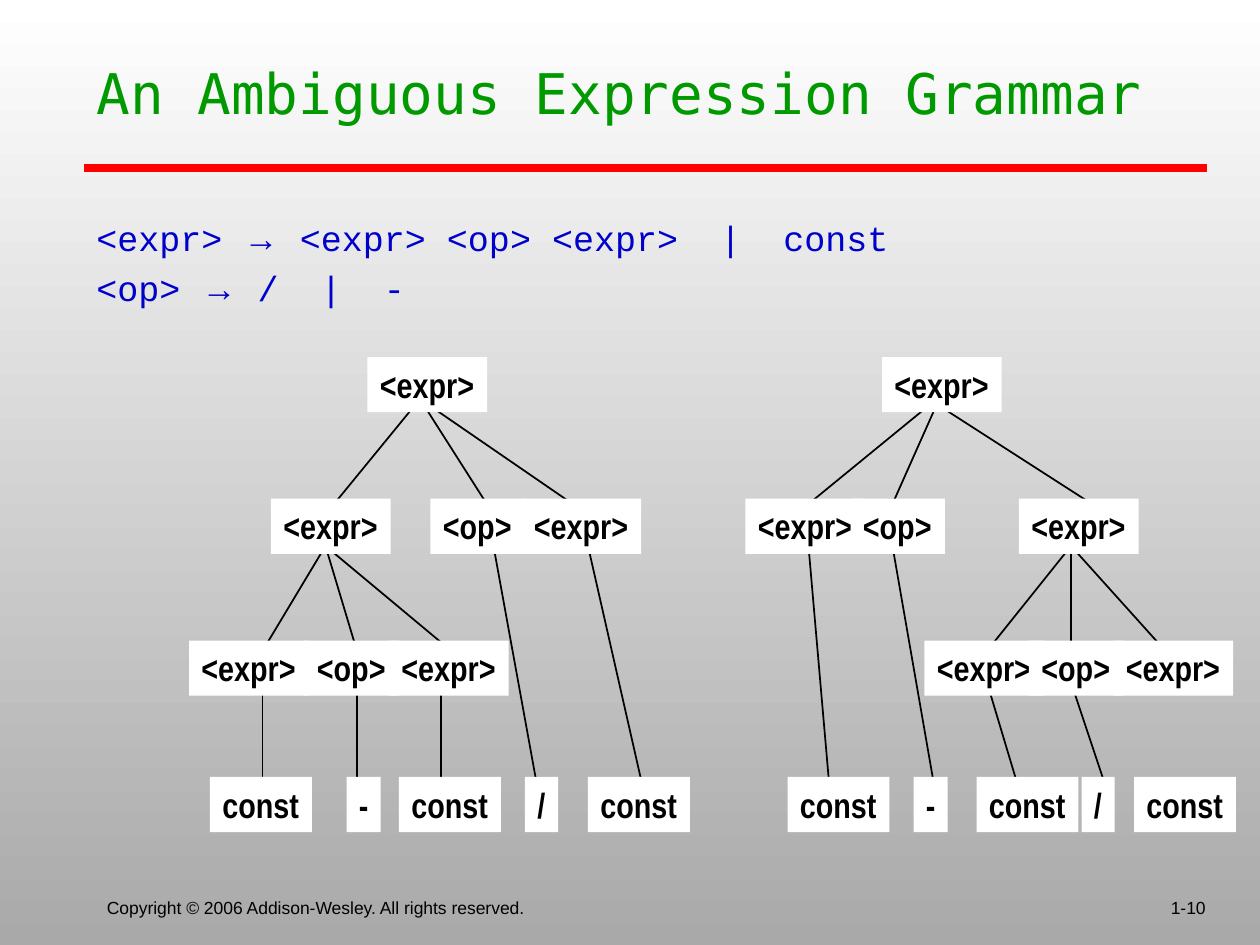
from pptx import Presentation
from pptx.dml.color import RGBColor
from pptx.enum.shapes import MSO_CONNECTOR, MSO_SHAPE
from pptx.enum.text import MSO_ANCHOR, MSO_AUTO_SIZE, PP_ALIGN
from pptx.oxml.ns import qn
from pptx.util import Pt

STRAIGHT, RECT = MSO_CONNECTOR.STRAIGHT, MSO_SHAPE.RECTANGLE
TOP, BOTTOM = MSO_ANCHOR.TOP, MSO_ANCHOR.BOTTOM
LEFT, RIGHT = PP_ALIGN.LEFT, PP_ALIGN.RIGHT
FIT = MSO_AUTO_SIZE.SHAPE_TO_FIT_TEXT
C = {name: RGBColor.from_string(h) for name, h in {
    "white": "FFFFFF", "gray": "A9A9A9", "black": "000000",
    "red": "FF0000", "green": "009900", "blue": "0000CC"}.items()}

prs = Presentation()
prs.slide_width, prs.slide_height = Pt(720), Pt(540)
s = prs.slides.add_slide(prs.slide_layouts[6])

bg = s.background.fill
bg.gradient()
bg.gradient_angle = 270
for stop, color in zip(bg.gradient_stops, ("white", "gray")):
    stop.color.rgb = C[color]


def add_run(p, text, size, font, color, bold=False):
    r = p.add_run()
    r.text = text
    r.font.size, r.font.name, r.font.bold = Pt(size), font, bold
    r.font.color.rgb = C[color]


def add_line(start, end, color, width):
    ln = s.shapes.add_connector(STRAIGHT, *(Pt(v) for v in start + end))
    ln.line.color.rgb = C[color]
    ln.line.width = Pt(width)
    sp_pr = ln._element.spPr
    sp_pr.append(sp_pr.makeelement(qn("a:effectLst"), {}))


add_line((48, 96), (690, 96), "red", 4.5)

# Title, grammar rules and footer: box, anchor, alignment, size, colour, lines of runs
MONO = "Courier New"
texts = [
    ((54, 492, 330, 36), BOTTOM, LEFT, 10, "black",
     [[("Copyright © 2006 Addison-Wesley. All rights reserved.", "Arial")]]),
    ((546, 492, 150, 36), BOTTOM, RIGHT, 10, "black", [[("1-10", "Arial")]]),
    ((48, 30, 642, 90), TOP, LEFT, 32, "green",
     [[("An Ambiguous Expression Grammar", "DejaVu Sans Mono")]]),
    ((48, 120, 588, 372), TOP, LEFT, 20, "blue",
     [[("<expr> ", MONO), ("→", "Arial"), (" <expr> <op> <expr>  |  const", MONO)],
      [("<op> ", MONO), ("→", "Arial"), (" /  |  -", MONO)]]),
]
for box, anchor, align, size, color, lines in texts:
    tf = s.shapes.add_textbox(*(Pt(v) for v in box)).text_frame
    tf.word_wrap = True
    tf.vertical_anchor = anchor
    for i, runs in enumerate(lines):
        p = tf.add_paragraph() if i else tf.paragraphs[0]
        p.alignment = align
        if i:
            p.space_before = Pt(5)
        for text, font in runs:
            add_run(p, text, size, font, color)

# Branches of both parse trees: start point and its end points
branches = [
    ((240, 228), [(186, 294), (336, 294), (282, 294)]),
    ((186, 312), [(150, 372), (258, 372), (204, 372)]),
    ((150, 390), [(150, 450)]),
    ((204, 390), [(204, 450)]),
    ((252, 390), [(252, 450)]),
    ((282, 312), [(306, 444)]),
    ((336, 312), [(366, 444)]),
    ((528, 234), [(462, 288)]),
    ((540, 234), [(624, 288)]),
    ((534, 234), [(510, 288)]),
    ((612, 312), [(564, 372), (666, 372), (612, 372)]),
    ((462, 312), [(474, 450)]),
    ((510, 312), [(534, 450)]),
    ((564, 390), [(582, 450)]),
    ((612, 390), [(630, 444)]),
]
for start, ends in branches:
    for end in ends:
        add_line(start, end, "black", 1)

# Nodes by label: width, then left edges by tree level
LEVEL_TOP = [204, 285, 366, 444]
NODE_H = 31.5
nodes = [
    ("<expr>", 68.4, {0: [210, 504], 1: [154.8, 298, 426, 582.2],
                      2: [108, 222.3, 528.2, 636.2]}),
    ("<op>", 54, {1: [246, 486], 2: [174, 588]}),
    ("const", 58.2, {3: [120, 228, 336, 450, 558, 648]}),
    ("-", 19.6, {3: [198, 522]}),
    ("/", 18.9, {3: [300, 618]}),
]
for label, width, levels in nodes:
    for level, lefts in levels.items():
        for left in lefts:
            sp = s.shapes.add_shape(RECT, Pt(left), Pt(LEVEL_TOP[level]), Pt(width), Pt(NODE_H))
            sp.shadow.inherit = False
            sp.fill.solid()
            sp.fill.fore_color.rgb = C["white"]
            sp.line.fill.background()
            tf = sp.text_frame
            tf.word_wrap = False
            tf.auto_size = FIT
            tf.vertical_anchor = TOP
            p = tf.paragraphs[0]
            p.alignment = LEFT
            add_run(p, label, 20, "Arial Narrow", "black", bold=True)

prs.save("out.pptx")
